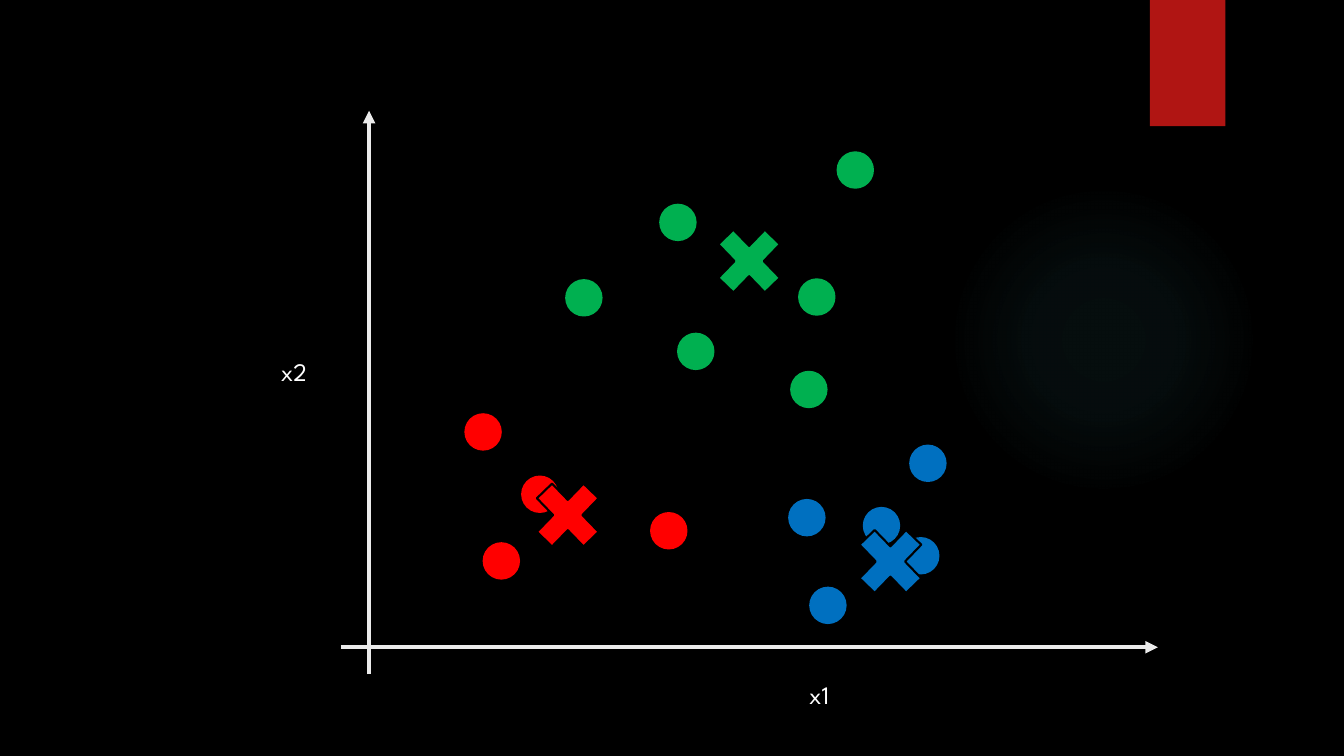
from dataclasses import dataclass

from pptx import Presentation
from pptx.dml.color import RGBColor
from pptx.enum.shapes import MSO_CONNECTOR as Conn, MSO_SHAPE as Kind
from pptx.enum.text import MSO_AUTO_SIZE as Fit
from pptx.oxml import parse_xml
from pptx.oxml.ns import nsdecls, qn
from pptx.shapes.autoshape import Shape
from pptx.slide import Slide
from pptx.util import Cm, Pt

HUES = {
    "back": "000000", "tag": "B01513", "glow": "50B9C1", "axis": "EBEBEB",
    "text": "FFFFFF", "red": "FF0000", "green": "00B050", "blue": "0070C0",
}
FONT = "League Spartan"
DOT = (0.89, 0.89)
CROSS = (2.26, 2.34)
Point = tuple[float, float]


@dataclass
class Group:
    hue: str
    mean: Point
    dots: list[Point]


@dataclass
class Axis:
    name: str
    start: Point
    end: Point
    label: Point


# Points are the top left corners of the marks, in centimetres.
GROUPS = [
    Group("red", (13.18, 11.81),
          [(11.73, 10.44), (12.19, 13.69), (13.16, 12.01), (16.41, 12.93)]),
    Group("green", (17.75, 5.41),
          [(16.64, 5.16), (17.09, 8.41), (19.94, 9.37),
           (20.14, 7.04), (21.11, 3.84), (14.27, 7.06)]),
    Group("blue", (21.31, 12.98),
          [(19.89, 12.6), (22.76, 13.56), (22.94, 11.23),
           (20.42, 14.81), (21.77, 12.8)]),
]
AXES = [
    Axis("x2", (9.3, 16.99), (9.3, 2.79), (6.83, 8.86)),
    Axis("x1", (8.59, 16.31), (29.18, 16.31), (20.14, 16.99)),
]


def color(hue: str) -> RGBColor:
    return RGBColor.from_string(HUES[hue])


def add_mark(slide: Slide, kind: Kind, at: Point, size: Point,
             hue: str, edge: str = "") -> Shape:
    """Add a filled shape, outlined only if an edge hue is given."""
    mark = slide.shapes.add_shape(kind, *map(Cm, at + size))
    mark.shadow.inherit = False
    mark.fill.solid()
    mark.fill.fore_color.rgb = color(hue)
    if edge:
        mark.line.color.rgb = color(edge)
        mark.line.width = Pt(1.5)
    else:
        mark.line.fill.background()
    return mark


def add_glow(slide: Slide) -> None:
    """Add a faint disc that fades out from its centre."""
    glow = add_mark(slide, Kind.OVAL, (23.9, 4.65), (7.82, 7.82), "glow")
    stops = "".join(
        f'<a:gs pos="{pos * 1000}"><a:srgbClr val="{HUES["glow"]}">'
        f'<a:alpha val="{alpha * 1000}"/></a:srgbClr></a:gs>'
        for pos, alpha in [(0, 7), (36, 6), (69, 0)])
    fade = parse_xml(
        f'<a:gradFill {nsdecls("a")}><a:gsLst>{stops}</a:gsLst>'
        '<a:path path="circle"><a:fillToRect l="50000" t="50000" '
        'r="50000" b="50000"/></a:path></a:gradFill>')
    props = glow.element.spPr
    props.replace(props.find(qn("a:solidFill")), fade)


def add_axis(slide: Slide, axis: Axis) -> None:
    line = slide.shapes.add_connector(
        Conn.STRAIGHT, *map(Cm, axis.start + axis.end))
    line.line.color.rgb = color("axis")
    line.line.width = Pt(3)
    line.line._get_or_add_ln().append(
        parse_xml(f'<a:tailEnd {nsdecls("a")} type="triangle"/>'))
    line.element.spPr.append(parse_xml(f'<a:effectLst {nsdecls("a")}/>'))


def add_label(slide: Slide, axis: Axis) -> None:
    box = slide.shapes.add_textbox(*map(Cm, axis.label + (1.17, 1.02)))
    frame = box.text_frame
    frame.word_wrap = False
    frame.auto_size = Fit.SHAPE_TO_FIT_TEXT
    para = frame.paragraphs[0]
    para.text = axis.name
    para.font.name = FONT
    para.font.size = Pt(18)
    para.font.color.rgb = color("text")


def main() -> None:
    deck = Presentation()
    deck.slide_width, deck.slide_height = Cm(33.87), Cm(19.05)
    slide = deck.slides.add_slide(deck.slide_layouts[6])
    slide.background.fill.solid()
    slide.background.fill.fore_color.rgb = color("back")

    add_glow(slide)
    add_mark(slide, Kind.RECTANGLE, (28.98, 0), (1.9, 3.18), "tag")
    for axis in AXES:
        add_axis(slide, axis)
    for axis in AXES:
        add_label(slide, axis)
    for group in GROUPS:
        for dot in group.dots:
            add_mark(slide, Kind.OVAL, dot, DOT, group.hue, group.hue)
    for group in GROUPS:
        add_mark(slide, Kind.MATH_MULTIPLY, group.mean, CROSS,
                 group.hue, "back")
    deck.save("out.pptx")


if __name__ == "__main__":
    main()
